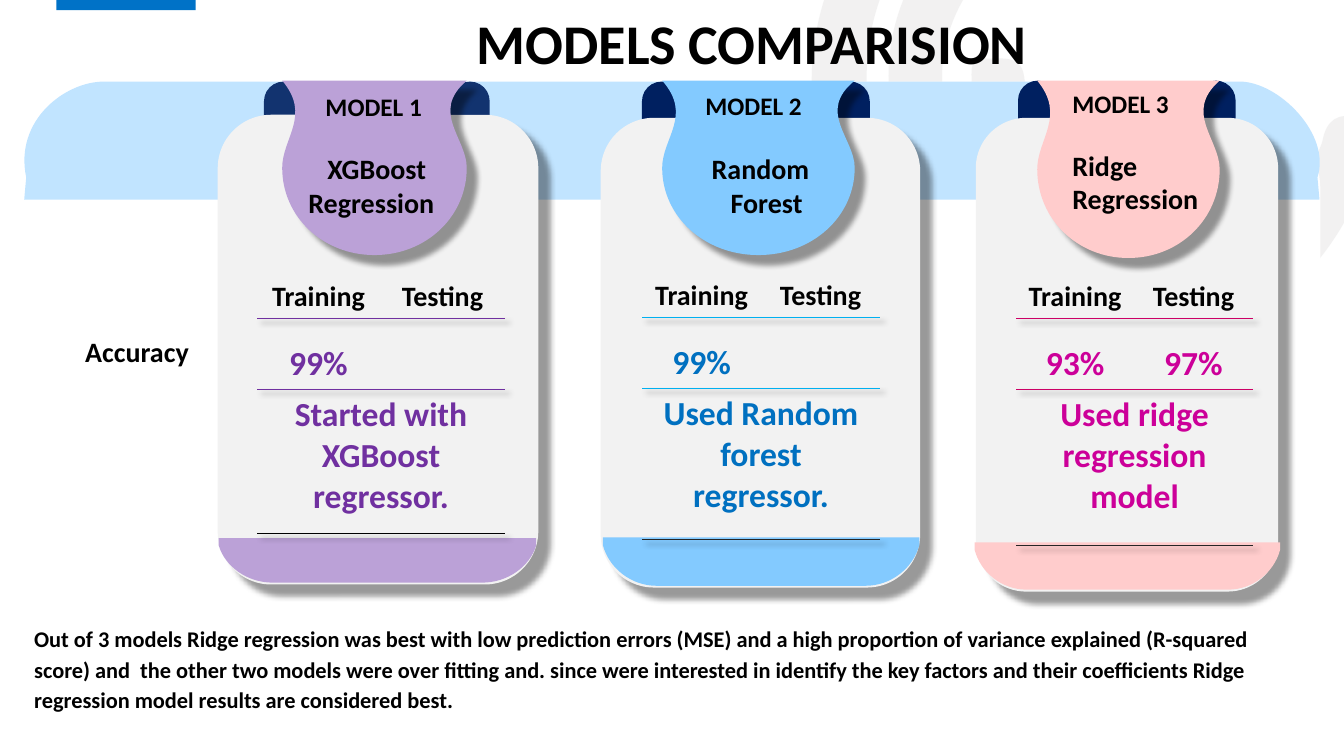
import pptx
import pptx.dml.color
import pptx.enum.shapes
import pptx.enum.text
import pptx.oxml
import pptx.oxml.ns
import pptx.util

Pt = pptx.util.Pt
SHAPE = pptx.enum.shapes.MSO_SHAPE
ALIGN = pptx.enum.text.PP_ALIGN
NAMESPACE = pptx.oxml.ns.nsdecls("a")
FONT = "Calibri"
INCH_GRID = (0, 0, 72, 72)

# Outlines: a start point, then lines (2 numbers) and curves (6 numbers)
QUOTE_MARKS = [
    [(8.51, 2.29), (7.99, 1.49, 7.87, 0.5, 8.38, -0.5), (8.9, -1.52, 9.76, -2.03, 10.9, -2.07),
     (11.05, -2.07, 11.21, -2.1, 11.31, -1.95), (11.44, -1.75, 11.27, -1.54, 10.98, -1.54),
     (9.67, -1.54, 8.65, -0.59, 8.6, 0.68), (8.56, 1.81, 9.36, 2.81, 10.46, 3.02),
     (11.6, 3.24, 12.7, 2.61, 13.07, 1.52), (13.09, 1.48, 13.11, 1.44, 13.12, 1.4),
     (13.16, 1.19, 13.27, 1.11, 13.49, 1.17), (13.73, 1.24, 13.67, 1.41, 13.61, 1.56),
     (13.34, 2.45, 12.78, 3.07, 11.91, 3.41), (10.7, 3.87, 9.36, 3.45, 8.51, 2.29)],
    [(9.22, 1.99), (8.62, 1.15, 8.69, 0.07, 9.4, -0.68), (9.51, -0.79, 9.62, -0.95, 9.8, -0.78),
     (9.95, -0.64, 9.97, -0.5, 9.79, -0.32), (9.25, 0.26, 9.2, 1.08, 9.65, 1.68),
     (10.08, 2.29, 10.88, 2.49, 11.61, 2.15), (11.82, 2.05, 11.93, 2.12, 12.03, 2.29),
     (12.13, 2.5, 11.97, 2.56, 11.83, 2.63), (10.96, 3.1, 9.83, 2.82, 9.22, 1.99)],
    [(9.87, 1.51), (9.75, 1.3, 9.64, 1.07, 9.64, 0.82), (9.64, 0.73, 9.61, 0.57, 9.76, 0.58),
     (9.92, 0.59, 10.13, 0.53, 10.16, 0.76), (10.21, 1.1, 10.36, 1.32, 10.67, 1.48),
     (10.88, 1.57, 10.76, 1.76, 10.72, 1.89), (10.68, 2.06, 10.55, 1.98, 10.45, 1.94),
     (10.21, 1.87, 10.03, 1.7, 9.87, 1.51)],
]
BAND = [(1.03, 0.81), (12.3, 0.81), (12.68, 0.81, 13.21, 1.33, 13.07, 1.76), (13.09, 1.98),
        (0.24, 1.98), (0.26, 1.76), (0.14, 1.19, 0.65, 0.81, 1.03, 0.81)]
RIBBON = [(1, 0), (0.8, 0.18, 1, 0.33, 1, 0.5), (1, 0.78, 0.78, 1, 0.5, 1),
          (0.22, 1, 0, 0.78, 0, 0.5), (0, 0.33, 0.16, 0.2, 0, 0), (1, 0)]
CARD_FOOT = [(0, 0), (1, 0), (1, 0.16), (0.98, 0.64, 0.91, 1, 0.83, 1),
             (0.17, 1), (0.09, 1, 0.02, 0.64, 0, 0.16)]

# Boxes are left, top, width, height; label lines are text, size, indent, space before
CARDS = [
    dict(body=(155.5, 82, 229, 335.5), ribbon=(201.6, 57.6, 131.8, 124.6), folds=(188.6, 321.8),
         fold_top=58.3, fold_alpha=90, foot=(156.2, 384.5, 226.8, 31.7), fill="BBA1D7",
         label=(213.1, 61.9, 118, 99.4),
         lines=[("MODEL 1", 18, 12.3, 0), ("XGBoost", 20, 13.6, 21.5), ("Regression", 20, 0, 0)],
         table=(183.6, 184.3, 177.1, 188.6), columns=(87.8, 89.3), rows=(31, 36, 103),
         rule="7030A0", last_rule="000000", ink="7030A0",
         scores=("99%", ""), remark="Started with XGBoost regressor."),
    dict(body=(429.1, 84.2, 228.2, 335.5), ribbon=(473, 57.6, 137.5, 124.6),
         folds=(458.6, 593.3), fold_top=58.3, fold_alpha=100,
         foot=(430.6, 383.8, 226.1, 34.6), fill="83CAFF",
         label=(496.8, 61.2, 103.7, 99.4),
         lines=[("MODEL 2", 18, 0, 0), ("Random", 20, 4.5, 21.8), ("Forest", 20, 18, 0)],
         table=(458.6, 183.6, 169.9, 193.7), columns=(85, 85), rows=(38.9, 45.4, 108),
         rule="00B0F0", last_rule="262626", ink="0070C0",
         scores=("99%", ""), remark="Used Random forest regressor."),
    dict(body=(697, 84.2, 216, 338.4), ribbon=(740.9, 57.6, 130.3, 126.7), folds=(727.2, 854.6),
         fold_top=57.6, fold_alpha=100, foot=(696.2, 387.4, 218.2, 33.8), fill="FFCCCC",
         label=(758.9, 59.4, 105.8, 123.8),
         lines=[("MODEL 3", 18, 0, 0), ("Ridge Regression", 20, 0, 21.2)],
         table=(725.8, 184.3, 169.2, 196.6), columns=(84.2, 85), rows=(37.4, 43.9, 111.6),
         rule="CC0066", last_rule="262626", ink="CC0099",
         scores=("93%", "97%"), remark="Used ridge regression model"),
]
CONCLUSION = (
    "Out of 3 models Ridge regression was best with low prediction errors (MSE) and a high "
    "proportion of variance explained (R-squared score) and  the other two models were over "
    "fitting and. since were interested in identify the key factors and their coefficients "
    "Ridge regression model results are considered best.")


def colour(hex_text):
    return pptx.dml.color.RGBColor.from_string(hex_text)


def shadow_xml(distance, blur=4):
    return pptx.oxml.parse_xml(
        f'<a:effectLst {NAMESPACE}><a:outerShdw blurRad="{Pt(blur)}" dist="{Pt(distance)}" '
        'dir="2700000" algn="tl" rotWithShape="0"><a:srgbClr val="000000">'
        '<a:alpha val="40000"/></a:srgbClr></a:outerShdw></a:effectLst>')


def paint(shape, hex_text, alpha=100, shadow=0):
    shape.fill.solid()
    shape.fill.fore_color.rgb = colour(hex_text)
    shape.line.fill.background()
    shape.shadow.inherit = False
    properties = shape.element.spPr
    if alpha < 100:
        tint = properties.find(".//" + pptx.oxml.ns.qn("a:srgbClr"))
        tint.append(pptx.oxml.parse_xml(f'<a:alpha {NAMESPACE} val="{alpha * 1000}"/>'))
    if shadow:
        plain = properties.find(pptx.oxml.ns.qn("a:effectLst"))
        properties.replace(plain, shadow_xml(shadow))


def add_preset(slide, kind, box, *style):
    shape = slide.shapes.add_shape(kind, *map(Pt, box))
    paint(shape, *style)
    return shape


def add_outline(slide, outline, box, *style):
    left, top, width, height = box

    def place(x, y):
        return Pt(left + x * width), Pt(top + y * height)

    ends = [place(*step[-2:]) for step in outline]
    builder = slide.shapes.build_freeform(*ends[0])
    builder.add_line_segments(ends[1:], close=True)
    shape = builder.convert_to_shape()
    # Turn the straight segments that stand for curves into Bezier segments
    segments = list(shape.element.iter(pptx.oxml.ns.qn("a:lnTo")))
    for segment, step in zip(segments, outline[1:]):
        if len(step) == 6:
            corners = [place(*step[start:start + 2]) for start in (0, 2, 4)]
            points = "".join(f'<a:pt x="{x - shape.left}" y="{y - shape.top}"/>'
                             for x, y in corners)
            curve = pptx.oxml.parse_xml(f"<a:cubicBezTo {NAMESPACE}>{points}</a:cubicBezTo>")
            segment.getparent().replace(segment, curve)
    paint(shape, *style)


def write(para, text, size, hex_text="000000", align=ALIGN.LEFT, spacing=1.0):
    para.alignment = align
    para.line_spacing = spacing
    span = para.add_run()
    span.text = text
    span.font.name = FONT
    span.font.size = Pt(size)
    span.font.bold = True
    span.font.color.rgb = colour(hex_text)


def add_text_box(slide, box):
    frame = slide.shapes.add_textbox(*map(Pt, box)).text_frame
    frame.word_wrap = True
    return frame


def add_plain_table(slide, box, row_heights, column_widths):
    size = len(row_heights), len(column_widths)
    table = slide.shapes.add_table(*size, *map(Pt, box)).table
    table.first_row = table.horz_banding = False
    for row, height in zip(table.rows, row_heights):
        row.height = Pt(height)
    for column, width in zip(table.columns, column_widths):
        column.width = Pt(width)
    return table


def style_cell(cell, top_rule=None, bottom_rule=None):
    cell.fill.background()
    properties = cell._tc.get_or_add_tcPr()
    rules = (("lnL", None), ("lnR", None), ("lnT", top_rule), ("lnB", bottom_rule))
    for position, (tag, rule) in enumerate(rules):
        fill = f'<a:solidFill><a:srgbClr val="{rule}"/></a:solidFill>' if rule else "<a:noFill/>"
        properties.insert(position, pptx.oxml.parse_xml(
            f'<a:{tag} {NAMESPACE} w="{Pt(1)}">{fill}</a:{tag}>'))


def draw_backdrop(slide):
    for mark in QUOTE_MARKS:
        add_outline(slide, mark, INCH_GRID, "E7E6E6", 53)
    add_preset(slide, SHAPE.RECTANGLE, (40.3, -1.4, 99.4, 8.6), "0072C7")
    add_preset(slide, SHAPE.ROUNDED_RECTANGLE, (17.3, 58.3, 925.9, 473), "FFFFFF")
    add_outline(slide, BAND, INCH_GRID, "C1E4FF")


def draw_score_table(slide, card):
    table = add_plain_table(slide, card["table"], card["rows"], card["columns"])
    table._tbl.tblPr.insert(0, shadow_xml(4))
    rules = (None, card["rule"], card["rule"], card["last_rule"])
    for row in range(3):
        for column in range(2):
            style_cell(table.cell(row, column), rules[row], rules[row + 1])
    table.cell(2, 0).merge(table.cell(2, 1))
    for column, (heading, score) in enumerate(zip(("Training", "Testing"), card["scores"])):
        write(table.cell(0, column).text_frame.paragraphs[0], heading, 20,
              align=ALIGN.CENTER, spacing=1.5)
        if score:
            write(table.cell(1, column).text_frame.paragraphs[0], score, 24, card["ink"],
                  ALIGN.CENTER, 1.5)
    write(table.cell(2, 0).text_frame.paragraphs[0], card["remark"], 24, card["ink"],
          ALIGN.CENTER)


def draw_card(slide, card):
    # Ribbon folds behind the card
    for left in card["folds"]:
        fold = add_preset(slide, SHAPE.FLOWCHART_DELAY, (left, card["fold_top"], 28, 28),
                          "002060", card["fold_alpha"])
        fold.rotation = 270
    # Card, ribbon and coloured foot
    add_preset(slide, SHAPE.ROUNDED_RECTANGLE, card["body"], "F2F2F2", 100, 12)
    add_outline(slide, RIBBON, card["ribbon"], card["fill"], 100, 10)
    add_outline(slide, CARD_FOOT, card["foot"], card["fill"])
    # Model name
    frame = add_text_box(slide, card["label"])
    for index, (text, size, indent, before) in enumerate(card["lines"]):
        para = frame.add_paragraph() if index else frame.paragraphs[0]
        write(para, text, size)
        para.space_before = Pt(before)
        para._p.get_or_add_pPr().set("marL", str(Pt(indent)))
    draw_score_table(slide, card)


def draw_row_heading(slide, box):
    table = add_plain_table(slide, box, (41.8, 25.2, 36.7, 25.2), (box[2],))
    for row in range(4):
        style_cell(table.cell(row, 0))
    write(table.cell(0, 0).text_frame.paragraphs[0], "Accuracy", 20,
          align=ALIGN.CENTER, spacing=1.5)


def draw_title(slide, box):
    title = slide.shapes.title
    title.left, title.top, title.width, title.height = map(Pt, box)
    title.text_frame.vertical_anchor = pptx.enum.text.MSO_ANCHOR.TOP
    title.text_frame.auto_size = pptx.enum.text.MSO_AUTO_SIZE.NONE
    write(title.text_frame.paragraphs[0], "MODELS COMPARISION", 40)
    title.element.getparent().append(title.element)  # in front of the backdrop


def draw_conclusion(slide, box):
    para = add_text_box(slide, box).paragraphs[0]
    write(para, CONCLUSION, 16, spacing=1.15)
    para.space_after = Pt(8)


def main():
    deck = pptx.Presentation()
    deck.slide_width, deck.slide_height = Pt(960), Pt(540)
    page = deck.slides.add_slide(deck.slide_layouts[5])
    draw_backdrop(page)
    for card in CARDS:
        draw_card(page, card)
    draw_row_heading(page, (41, 223.9, 113.8, 159.8))
    draw_title(page, (333.4, 2.5, 421.2, 55.4))
    draw_conclusion(page, (17.3, 439.9, 915.8, 72.7))
    deck.save("out.pptx")


if __name__ == "__main__":
    main()
